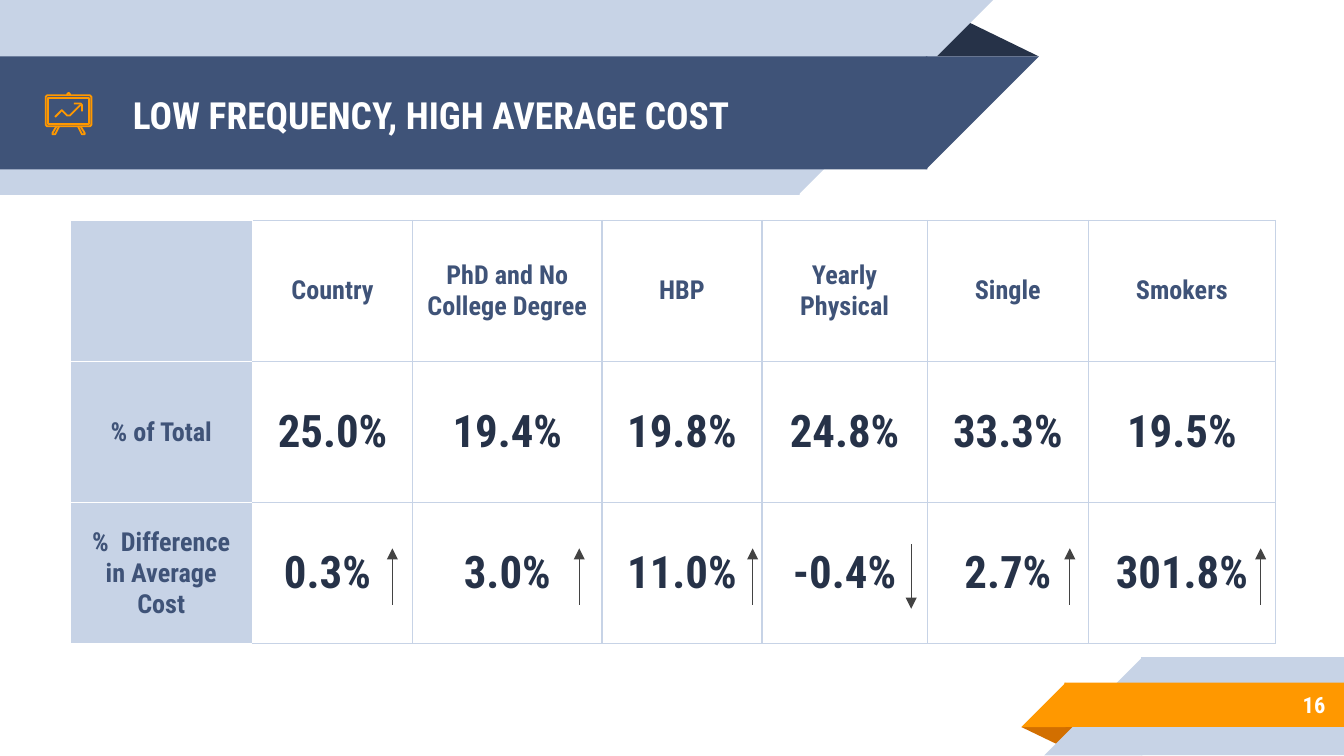
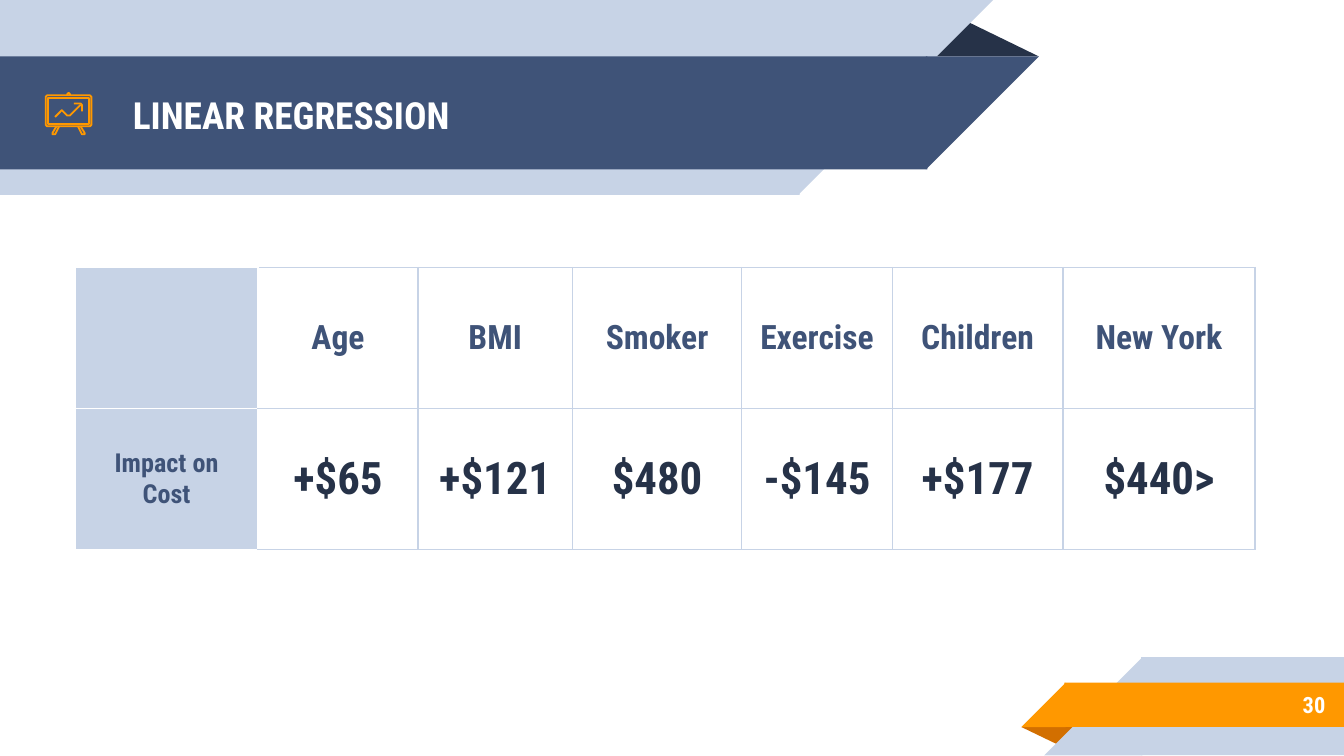
"""Build two slides of cost findings, each with a banner, a table and a page tab."""
import lxml.etree
import pptx
import pptx.dml.color
import pptx.enum.shapes
import pptx.enum.text
import pptx.oxml.ns
import pptx.util

Inches = pptx.util.Inches
Pt = pptx.util.Pt
SHAPE = pptx.enum.shapes.MSO_SHAPE
ALIGN = pptx.enum.text.PP_ALIGN
MIDDLE = pptx.enum.text.MSO_ANCHOR.MIDDLE

FONT = "Roboto Condensed"
NAVY, BLUE, PALE = "263248", "3F5378", "C7D3E6"
ORANGE, RUST, WHITE, GREY = "FF9800", "D26F00", "FFFFFF", "434343"

FINDINGS = [
    {
        "title": "LOW FREQUENCY, HIGH AVERAGE COST",
        "page": "16",
        "corner": (0.52, 1.64),
        "columns": [1.36, 1.19, 1.41, 1.19, 1.23, 1.2, 1.39],
        "heading_size": 14,
        "rows": [
            ["", "Country", "PhD and No College Degree", "HBP",
             "Yearly Physical", "Single", "Smokers"],
            ["% of Total", "25.0%", "19.4%", "19.8%", "24.8%", "33.3%", "19.5%"],
            ["%  Difference in Average Cost", "0.3% ", "3.0%", "11.0%",
             "-0.4%", "2.7%", "301.8%"],
        ],
        "arrow_lefts": [2.92, 4.31, 5.6, 6.78, 7.96, 9.38],
    },
    {
        "title": "LINEAR REGRESSION",
        "page": "30",
        "corner": (0.56, 1.99),
        "columns": [1.36, 1.19, 1.15, 1.26, 1.12, 1.27, 1.43],
        "heading_size": 18,
        "rows": [
            ["", "Age", "BMI", "Smoker", "Exercise", "Children", "New York"],
            ["Impact on Cost", "+$65", "+$121", "$480", "-$145", "+$177", "$440>"],
        ],
        "arrow_lefts": [],
    },
]
ROW_HEIGHT = 1.05
RISE, FALL = (4.5, 4.08), (4.05, 4.53)

RECT, CORNER, FOLD = SHAPE.RECTANGLE, SHAPE.RIGHT_TRIANGLE, SHAPE.ISOSCELES_TRIANGLE
RIBBONS = [
    (FOLD, (6.88, 0.14, 0.85, 0.28), 0, NAVY),
    (RECT, (0, 0, 5.95, 1.45), 0, PALE),
    (CORNER, (5.94, 0, 1.45, 1.45), 90, PALE),
    (RECT, (0, 0.42, 6.9, 0.84), 0, BLUE),
    (CORNER, (6.89, 0.42, 0.84, 0.84), 90, BLUE),
    (FOLD, (7.6, 5.41, 0.43, 0.14), 180, RUST),
    (RECT, (8.49, 4.89, 1.51, 0.73), 0, PALE),
    (CORNER, (7.77, 4.89, 0.73, 0.73), 270, PALE),
    (RECT, (7.92, 5.08, 2.08, 0.33), 0, ORANGE),
    (CORNER, (7.6, 5.08, 0.33, 0.33), 270, ORANGE),
]
EASEL = [
    ([(0.35, 0.71), (0.67, 0.71), (0.68, 0.72), (0.68, 0.93),
      (0.67, 0.94), (0.35, 0.94), (0.34, 0.93), (0.34, 0.72)], True),
    ([(0.52, 0.71), (0.52, 0.7), (0.51, 0.69), (0.5, 0.7), (0.5, 0.71)], False),
    ([(0.42, 0.94), (0.39, 0.99), (0.39, 1), (0.41, 1), (0.44, 0.94)], False),
    ([(0.58, 0.94), (0.61, 1), (0.63, 1), (0.63, 0.99), (0.6, 0.94)], False),
    ([(0.36, 0.73), (0.36, 0.92), (0.66, 0.92), (0.66, 0.73)], True),
    ([(0.6, 0.78), (0.52, 0.86), (0.5, 0.86), (0.46, 0.82), (0.41, 0.87)], False),
    ([(0.55, 0.77), (0.6, 0.77), (0.61, 0.78), (0.61, 0.83)], False),
]


def rgb(color):
    return pptx.dml.color.RGBColor.from_string(color)


def add_xml(parent, tag, **attributes):
    return lxml.etree.SubElement(parent, pptx.oxml.ns.qn(tag), attributes)


def write(frame, text, size, color, align):
    frame.text = text
    paragraph = frame.paragraphs[0]
    paragraph.alignment = align
    for run in paragraph.runs:
        run.font.name = FONT
        run.font.size = Pt(size)
        run.font.bold = True
        run.font.color.rgb = rgb(color)


def add_label(slide, box, text, size, align):
    frame = slide.shapes.add_textbox(*map(Inches, box)).text_frame
    frame.word_wrap = True
    frame.vertical_anchor = MIDDLE
    frame.margin_left = frame.margin_right = Inches(0.1)
    frame.margin_top = frame.margin_bottom = Inches(0.1)
    write(frame, text, size, WHITE, align)


def add_ribbons(slide):
    for kind, box, turn, color in RIBBONS:
        ribbon = slide.shapes.add_shape(kind, *map(Inches, box))
        ribbon.shadow.inherit = False
        ribbon.rotation = turn
        ribbon.fill.solid()
        ribbon.fill.fore_color.rgb = rgb(color)
        ribbon.line.fill.background()
        if kind == FOLD:
            ribbon.adjustments[0] = 0.324


def add_easel(slide):
    for points, closed in EASEL:
        start, *rest = [(Inches(x), Inches(y)) for x, y in points]
        builder = slide.shapes.build_freeform(*start)
        builder.add_line_segments(rest, close=closed)
        stroke = builder.convert_to_shape()
        stroke.shadow.inherit = False
        stroke.fill.background()
        stroke.line.color.rgb = rgb(ORANGE)
        stroke.line.width = Pt(0.96)


def set_borders(cell, colors):
    properties = cell._tc.get_or_add_tcPr()
    for side, color in zip("LRTB", colors):
        border = add_xml(properties, f"a:ln{side}", w=str(Pt(0.75)))
        add_xml(add_xml(border, "a:solidFill"), "a:srgbClr", val=color)


def add_findings(slide, finding):
    rows, columns = finding["rows"], finding["columns"]
    size = (sum(columns), ROW_HEIGHT * len(rows))
    grid = slide.shapes.add_table(
        len(rows), len(columns), *map(Inches, finding["corner"] + size)).table
    grid.first_row = grid.horz_banding = False
    for column, width in zip(grid.columns, columns):
        column.width = Inches(width)
    for r, row in enumerate(rows):
        grid.rows[r].height = Inches(ROW_HEIGHT)
        for c, text in enumerate(row):
            cell = grid.cell(r, c)
            cell.vertical_anchor = MIDDLE
            cell.margin_left = cell.margin_right = Inches(0.1)
            cell.margin_top = cell.margin_bottom = Inches(0.07)
            if c == 0:
                set_borders(cell, [WHITE] * 4)
                cell.fill.solid()
                cell.fill.fore_color.rgb = rgb(PALE)
                style = 14, BLUE
            else:
                set_borders(cell, [WHITE if c == 1 else PALE] + [PALE] * 3)
                cell.fill.background()
                style = (finding["heading_size"], BLUE) if r == 0 else (24, NAVY)
            write(cell.text_frame, text, *style, ALIGN.CENTER)


def add_trends(slide, finding):
    for left, change in zip(finding["arrow_lefts"], finding["rows"][-1][1:]):
        start, end = FALL if change.startswith("-") else RISE
        arrow = slide.shapes.add_connector(
            pptx.enum.shapes.MSO_CONNECTOR.STRAIGHT,
            Inches(left), Inches(start), Inches(left), Inches(end))
        arrow.line.color.rgb = rgb(GREY)
        arrow.line.width = Pt(0.75)
        add_xml(arrow.line._get_or_add_ln(), "a:tailEnd", type="triangle")
        add_xml(arrow._element.spPr, "a:effectLst")


def main():
    deck = pptx.Presentation()
    deck.slide_width = Inches(10)
    deck.slide_height = deck.slide_width * 9 // 16
    for finding in FINDINGS:
        slide = deck.slides.add_slide(deck.slide_layouts[6])
        add_ribbons(slide)
        add_label(slide, (0.89, 0.43, 5.75, 0.84), finding["title"], 20, ALIGN.LEFT)
        add_findings(slide, finding)
        add_label(slide, (8.33, 5.07, 1.63, 0.35), finding["page"], 12, ALIGN.RIGHT)
        add_easel(slide)
        add_trends(slide, finding)
    deck.save("out.pptx")


if __name__ == "__main__":
    main()
